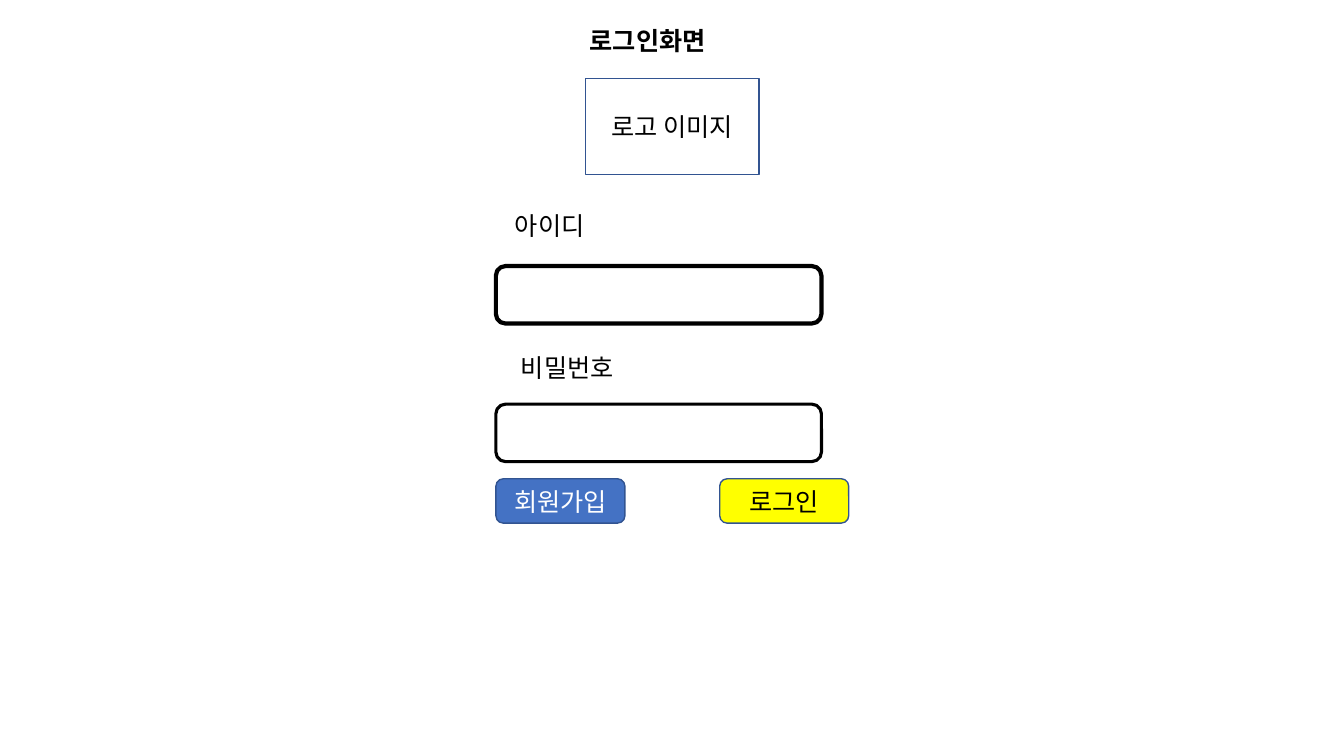
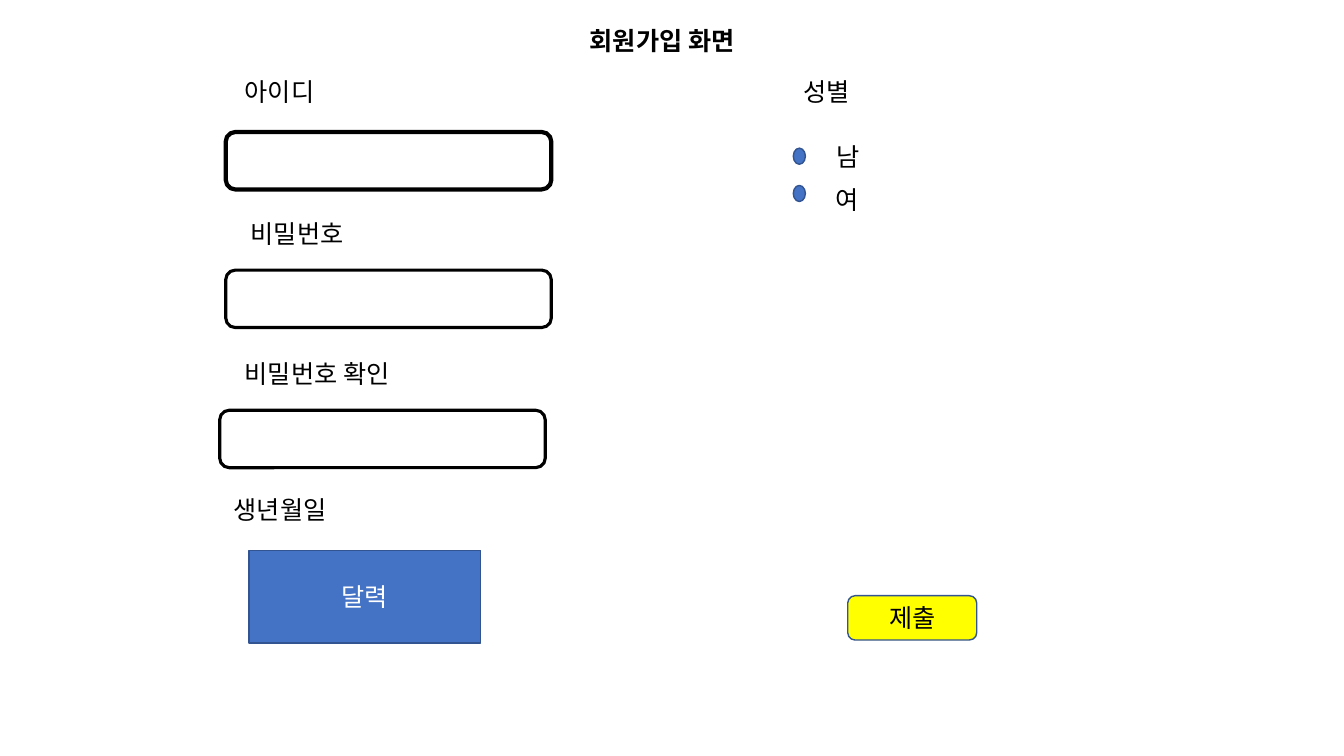
"""Build two wireframe pages, a login form and a sign-up form, on a 40-column grid."""
from lxml import etree
from pptx import Presentation, util as u
from pptx.dml.color import RGBColor
from pptx.enum import shapes, text
from pptx.oxml.ns import qn

COLORS = {"ink": "000000", "white": "FFFFFF", "blue": "4472C4", "edge": "325491", "yellow": "FFFF00"}
FONT = "Noto Sans CJK KR"
WIDTH, HEIGHT, COLUMNS = u.Inches(13.333), u.Inches(7.5), 40
CELL = WIDTH / COLUMNS
LINE_HEIGHT = 1.2
FIELD_SIZE, BUTTON_SIZE, RADIO_SIZE = (9.69, 1.71), (3.84, 1.32), (0.36, 0.48)
KIND = shapes.MSO_SHAPE
PLAIN = {"word_wrap": False, "auto_size": text.MSO_AUTO_SIZE.SHAPE_TO_FIT_TEXT}
HEADING = {**PLAIN, "word_wrap": True, "vertical_anchor": text.MSO_ANCHOR.TOP}
CENTERED = {"word_wrap": True, "vertical_anchor": text.MSO_ANCHOR.MIDDLE}


def color(name):
    """Return the named colour."""
    return RGBColor.from_string(COLORS[name])


def grid(*cells):
    """Turn grid cells into slide lengths."""
    return [u.Emu(round(cell * CELL)) for cell in cells]


def apply(target, values):
    """Set each named attribute on the target."""
    for name, value in values.items():
        setattr(target, name, value)


def write(box, words, frame, align=text.PP_ALIGN.LEFT, ink="ink", bold=False):
    """Write one styled paragraph into a box."""
    apply(box.text_frame, frame)
    para = box.text_frame.paragraphs[0]
    para.alignment = align
    span = para.add_run()
    span.text = words
    apply(span.font, {"name": FONT, "size": u.Pt(18), "bold": bold})
    span.font.color.rgb = color(ink)
    etree.SubElement(span.font._element, qn("a:ea"), typeface=FONT)


def add_page(deck, heading):
    """Add a page with the shared heading."""
    page = deck.slides.add_slide(deck.slide_layouts.get_by_name("Title Only"))
    title = page.shapes.title
    apply(title, dict(zip(("left", "top", "width", "height"), grid(17.25, 0.6, 5.85, LINE_HEIGHT))))
    write(title, heading, HEADING, bold=True)
    return page


def add_label(page, words, x, y):
    """Add a one-line label as wide as its words."""
    width = 0.6 + sum(0.33 if letter == " " else 0.75 for letter in words)
    write(page.shapes.add_textbox(*grid(x, y, width, LINE_HEIGHT)), words, PLAIN)


def add_box(page, kind, place, size, fill=None, edge="edge", weight=1, words="", ink="ink"):
    """Add an outlined shape with optional fill and centred words."""
    box = page.shapes.add_shape(kind, *grid(*place, *size))
    box.shadow.inherit = False
    if fill:
        box.fill.solid()
        box.fill.fore_color.rgb = color(fill)
    else:
        box.fill.background()
    box.line.color.rgb = color(edge)
    box.line.width = u.Pt(weight)
    if words:
        write(box, words, CENTERED, text.PP_ALIGN.CENTER, ink)


def add_field(page, x, y, weight=2.25):
    """Add an empty input field."""
    add_box(page, KIND.ROUNDED_RECTANGLE, (x, y), FIELD_SIZE, edge="ink", weight=weight)


def add_button(page, words, x, y, fill="yellow", ink="ink"):
    """Add a rounded button."""
    add_box(page, KIND.ROUNDED_RECTANGLE, (x, y), BUTTON_SIZE, fill, words=words, ink=ink)


def add_credentials(page, x, y):
    """Add the user name and password inputs with their labels."""
    add_field(page, x, y + 1.8, weight=3)
    add_field(page, x, y + 5.91)
    add_label(page, "아이디", x + 0.27, y)
    add_label(page, "비밀번호", x + 0.45, y + 4.23)


def add_login(deck):
    """Add the login page."""
    page = add_page(deck, "로그인화면")
    add_credentials(page, 14.76, 6.12)
    add_box(page, KIND.RECTANGLE, (17.43, 2.34), (5.16, 2.85), words="로고 이미지")
    add_button(page, "회원가입", 14.76, 14.25, "blue", "white")
    add_button(page, "로그인", 21.42, 14.25)


def add_signup(deck):
    """Add the sign-up page."""
    page = add_page(deck, "회원가입 화면")
    add_credentials(page, 6.72, 2.13)
    add_label(page, "비밀번호 확인", 6.99, 10.53)
    add_field(page, 6.54, 12.21)
    add_label(page, "생년월일", 6.66, 14.58)
    add_box(page, KIND.RECTANGLE, (7.41, 16.38), (6.9, 2.76), "blue", words="달력", ink="white")
    add_label(page, "성별", 23.61, 2.13)
    for choice, radio_top, label_x, label_top in (("남", 4.41, 24.6, 4.05), ("여", 5.52, 24.57, 5.34)):
        add_box(page, KIND.OVAL, (23.61, radio_top), RADIO_SIZE, "blue")
        add_label(page, choice, label_x, label_top)
    add_button(page, "제출", 25.23, 17.73)


def main():
    """Build and save the deck."""
    deck = Presentation()
    apply(deck, {"slide_width": WIDTH, "slide_height": HEIGHT})
    add_login(deck)
    add_signup(deck)
    deck.save("out.pptx")


main()
